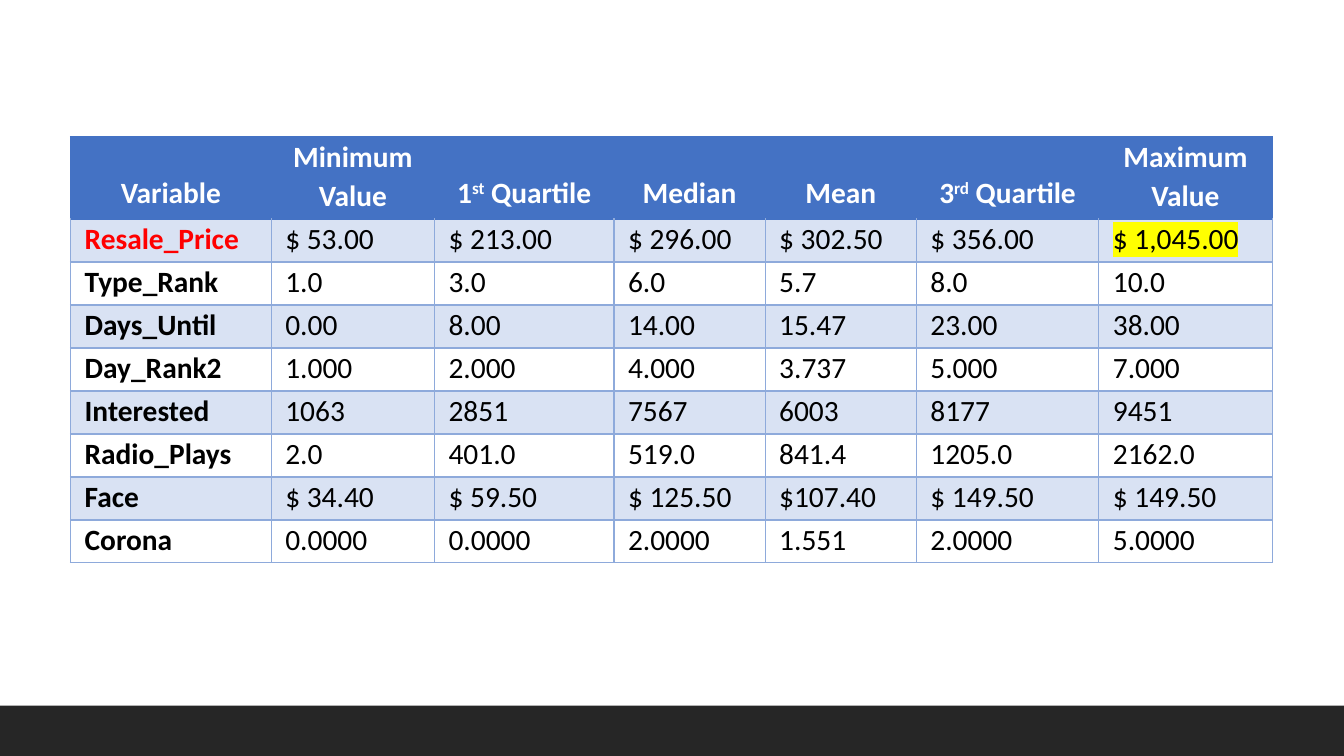
from lxml.etree import SubElement, Element
from pptx import Presentation
from pptx.dml.color import RGBColor as RGB
from pptx.enum.shapes import MSO_SHAPE as Shape
from pptx.enum.text import MSO_ANCHOR as Anchor, PP_ALIGN as Align
from pptx.oxml.ns import qn
from pptx.util import Inches, Pt

WHITE = RGB(0xFF, 0xFF, 0xFF)
BLACK = RGB(0, 0, 0)
DARK = RGB(0x26, 0x26, 0x26)
BLUE = RGB(0x44, 0x72, 0xC4)
PALE = RGB(0xD9, 0xE2, 0xF3)
EDGE = RGB(0x8E, 0xAA, 0xDB)
RED = RGB(0xFF, 0, 0)
YELLOW = RGB(0xFF, 0xFF, 0)

# Text between carets is raised.
HEADS = ["Variable", "Minimum Value", "1^st^ Quartile", "Median", "Mean",
         "3^rd^ Quartile", "Maximum Value"]
STATS = [
    ["Resale_Price", "$ 53.00", "$ 213.00", "$ 296.00", "$ 302.50", "$ 356.00", "$ 1,045.00"],
    ["Type_Rank", "1.0", "3.0", "6.0", "5.7", "8.0", "10.0"],
    ["Days_Until", "0.00", "8.00", "14.00", "15.47", "23.00", "38.00"],
    ["Day_Rank2", "1.000", "2.000", "4.000", "3.737", "5.000", "7.000"],
    ["Interested", "1063", "2851", "7567", "6003", "8177", "9451"],
    ["Radio_Plays", "2.0", "401.0", "519.0", "841.4", "1205.0", "2162.0"],
    ["Face", "$ 34.40", "$ 59.50", "$ 125.50", "$107.40", "$ 149.50", "$ 149.50"],
    ["Corona", "0.0000", "0.0000", "2.0000", "1.551", "2.0000", "5.0000"],
]
# Percent of the slide's width and height
COLS = [14.93, 12.15, 13.35, 11.25, 11.25, 13.58, 12.9]
ROWS = [10.53] + [5.69] * len(STATS)


def add_hex(node, color):
    SubElement(node, qn("a:srgbClr")).set("val", str(color))


def write(frame, text, color=BLACK, bold=False, align=Align.LEFT, mark=None,
          size=21, face="Calibri"):
    """Fill a frame with one paragraph; mark is the highlight colour."""
    para = frame.paragraphs[0]
    para.alignment = align
    para.line_spacing = 1.07
    for i, part in enumerate(text.split("^")):
        run = para.add_run()
        run.text = part
        font = run.font
        font.name, font.size, font.bold = face, Pt(size), bold
        font.color.rgb = color
        props = run._r.get_or_add_rPr()
        if i % 2:
            props.set("baseline", "30000")
        if mark:
            light = Element(qn("a:highlight"))
            add_hex(light, mark)
            props.find(qn("a:solidFill")).addnext(light)


def frame_cell(cell, top, side):
    """Draw the cell's four edges; top may differ from the other three."""
    props = cell._tc.get_or_add_tcPr()
    for tag, color in zip("LRTB", (side, side, top, side)):
        line = SubElement(props, qn("a:ln" + tag), w=str(Pt(1)))
        add_hex(SubElement(line, qn("a:solidFill")), color)


class Deck:
    """Holds the slide; lengths are percent of its width and height."""

    def __init__(self):
        self.show = Presentation()
        self.show.slide_width = Inches(13.33)
        self.show.slide_height = Inches(7.5)
        self.slide = self.show.slides.add_slide(self.show.slide_layouts[6])

    def wide(self, share):
        return int(self.show.slide_width * share / 100)

    def high(self, share):
        return int(self.show.slide_height * share / 100)

    def box(self, x, y, w, h):
        return self.wide(x), self.high(y), self.wide(w), self.high(h)

    def bar(self, x, y, w, h, color):
        bar = self.slide.shapes.add_shape(Shape.RECTANGLE, *self.box(x, y, w, h))
        bar.shadow.inherit = False
        bar.fill.solid()
        bar.fill.fore_color.rgb = color
        bar.line.fill.background()

    def cell(self, cell, text, fill, top, side, **style):
        cell.margin_left = cell.margin_right = Inches(0.14)
        cell.margin_top = cell.margin_bottom = 0
        frame_cell(cell, top, side)
        cell.fill.solid()
        cell.fill.fore_color.rgb = fill
        write(cell.text_frame, text, **style)

    def table(self, x, y, cols, rows, heads, data):
        place = self.box(x, y, sum(cols), sum(rows))
        table = self.slide.shapes.add_table(len(rows), len(cols), *place).table
        table.horz_banding = False
        for col, share in zip(table.columns, cols):
            col.width = self.wide(share)
        for row, share in zip(table.rows, rows):
            row.height = self.high(share)
        for c, text in enumerate(heads):
            cell = table.cell(0, c)
            self.cell(cell, text, BLUE, BLUE, BLUE, color=WHITE, bold=True,
                      align=Align.CENTER)
            cell.vertical_anchor = Anchor.BOTTOM
            cell.margin_bottom = Inches(0.05 if "Value" in text else 0.08)
        for r, line in enumerate(data, 1):
            for c, text in enumerate(line):
                self.cell(table.cell(r, c), text, PALE if r % 2 else WHITE,
                          BLUE if r == 1 else EDGE, EDGE, bold=c == 0,
                          color=RED if text == "Resale_Price" else BLACK,
                          mark=YELLOW if text == "$ 1,045.00" else None)


def main():
    deck = Deck()
    deck.bar(0, 93.33, 100, 6.67, DARK)
    deck.table(5.25, 18.13, COLS, ROWS, HEADS, STATS)
    deck.show.save("out.pptx")


if __name__ == "__main__":
    main()
